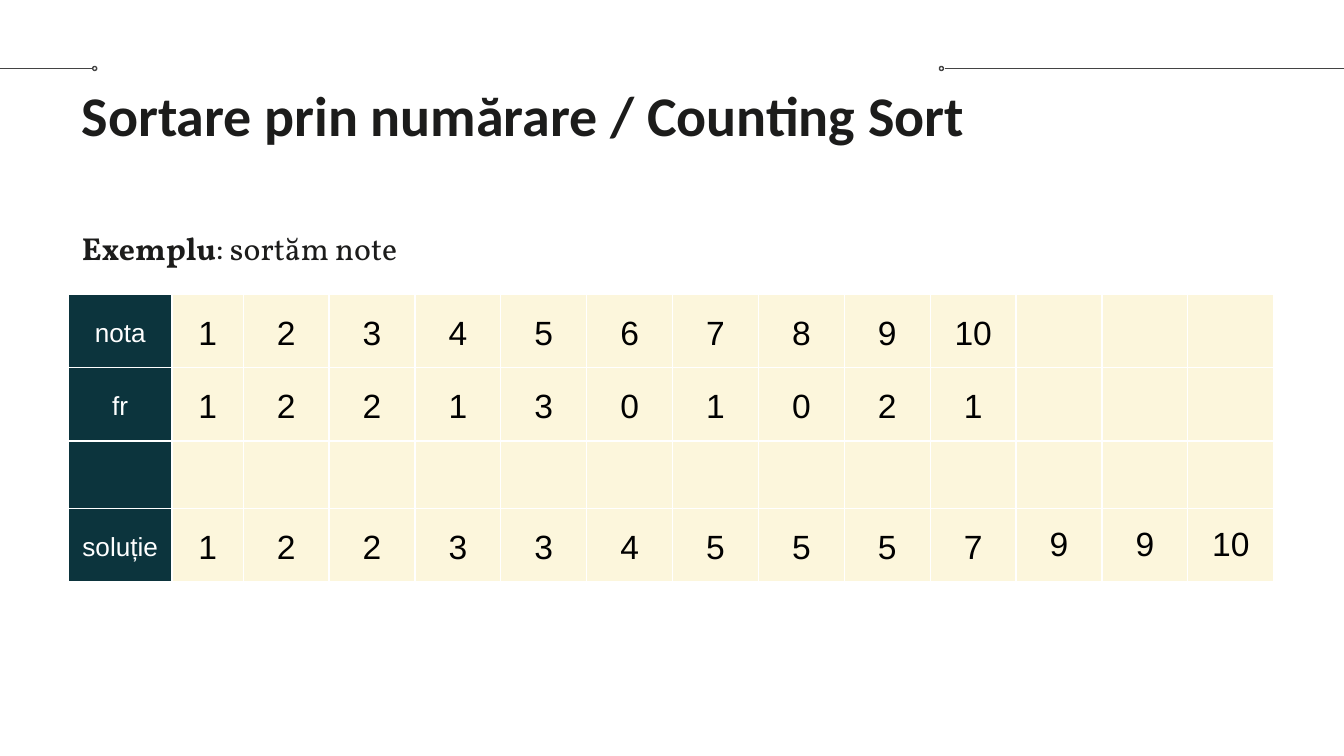
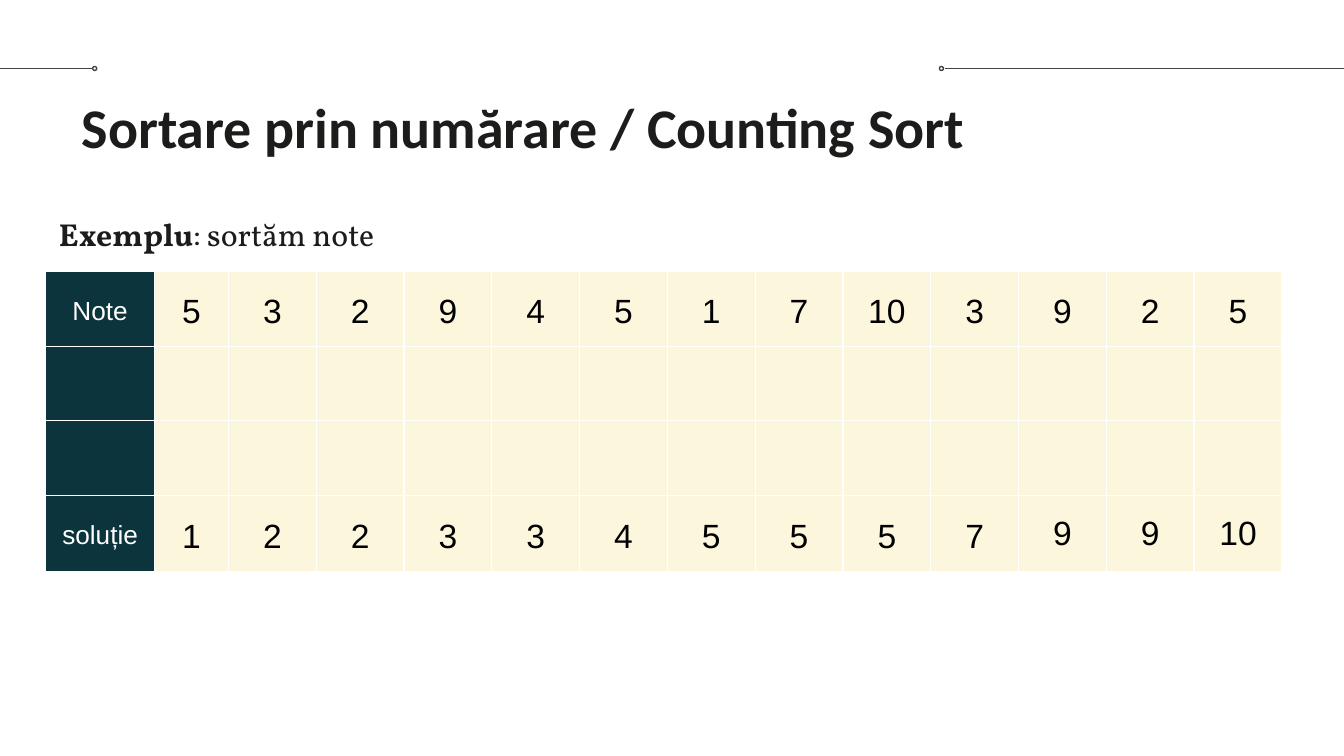
from dataclasses import dataclass

from lxml.etree import SubElement as Sub
from pptx import Presentation
from pptx.dml.color import RGBColor as Rgb
from pptx.enum.shapes import MSO_CONNECTOR as Conn, MSO_SHAPE as Shape
from pptx.enum.text import MSO_ANCHOR as Anchor, PP_ALIGN as Align
from pptx.oxml.ns import qn
from pptx.util import Inches, Pt


@dataclass(frozen=True)
class Theme:
    ink: str = "1C1C1B"
    rule: str = "434343"
    head: str = "0C343D"
    cell: str = "FCF6DC"
    white: str = "FFFFFF"
    black: str = "000000"
    title_font: str = "Calibri"
    body_font: str = "Vollkorn"
    grid_font: str = "Arial"
    title_size: float = 30
    body_size: float = 17
    label_size: float = 14
    value_size: float = 18
    line: float = 0.75
    inset: float = 0.1
    spacing: float = 1.15


T = Theme()
TITLE = "Sortare prin numărare / Counting Sort"
LEAD = ("Exemplu", ": sortăm note")
SORTED = ["soluție", 1, 2, 2, 3, 3, 4, 5, 5, 5, 7, 9, 9, 10]


def style(run, font, size, color, bold=False):
    run.font.name = font
    run.font.size = Pt(size)
    run.font.bold = bold
    run.font.color.rgb = Rgb.from_string(color)


def pad(part):
    part.margin_left = part.margin_right = Inches(T.inset)
    part.margin_top = part.margin_bottom = Inches(T.inset)


def stroke(line):
    line.color.rgb = Rgb.from_string(T.rule)
    line.width = Pt(T.line)


def add_rule(slide, start, end, knob, top=0.51, size=0.03):
    line = slide.shapes.add_connector(
        Conn.STRAIGHT, Inches(start), Inches(top), Inches(end), Inches(top))
    stroke(line.line)
    Sub(line._element.spPr, qn("a:effectLst"))
    dot = slide.shapes.add_shape(
        Shape.OVAL, Inches(knob), Inches(top - size / 2), Inches(size), Inches(size))
    dot.shadow.inherit = False
    dot.fill.background()
    stroke(dot.line)


def add_text(slide, box):
    frame = slide.shapes.add_textbox(*map(Inches, box)).text_frame
    frame.word_wrap = True
    frame.vertical_anchor = Anchor.TOP
    pad(frame)
    return frame


def add_title(slide, box):
    frame = add_text(slide, box)
    frame.text = TITLE
    style(frame.paragraphs[0].runs[0], T.title_font, T.title_size, T.ink, True)


def add_lead(slide, box):
    para = add_text(slide, box).paragraphs[0]
    para.line_spacing = T.spacing
    para.space_after = Pt(12)
    for part, bold in zip(LEAD, (True, False)):
        run = para.add_run()
        run.text = part
        style(run, T.body_font, T.body_size, T.ink, bold)


def add_edges(cell):
    props = cell._tc.get_or_add_tcPr()
    for side in ("lnL", "lnR", "lnT", "lnB"):
        edge = Sub(props, qn(f"a:{side}"), w=str(Pt(T.line)))
        Sub(Sub(edge, qn("a:solidFill")), qn("a:srgbClr"), val=T.white)


def fill_cell(cell, value, label, spacing):
    pad(cell)
    cell.vertical_anchor = Anchor.MIDDLE
    add_edges(cell)
    cell.fill.solid()
    cell.fill.fore_color.rgb = Rgb.from_string(T.head if label else T.cell)
    if value == "":
        return
    cell.text = str(value)
    para = cell.text_frame.paragraphs[0]
    para.alignment = Align.CENTER
    para.line_spacing = spacing
    size, color = (T.label_size, T.white) if label else (T.value_size, T.black)
    style(para.runs[0], T.grid_font, size, color)


def add_grid(slide, left, top, total, first, high, rows):
    count = len(SORTED) - len(first)
    widths = first + [(total - sum(first)) / count] * count
    box = map(Inches, (left, top, total, sum(high)))
    table = slide.shapes.add_table(len(rows), len(widths), *box).table
    table.first_row = table.horz_banding = False
    for col, width in zip(table.columns, widths):
        col.width = Inches(width)
    for r, (height, row) in enumerate(zip(high, rows)):
        table.rows[r].height = Inches(height)
        for c in range(len(widths)):
            value = row[c] if c < len(row) else ""
            tight = row is SORTED and c > 10
            fill_cell(table.cell(r, c), value, c == 0, 1.0 if tight else T.spacing)


def add_page(deck, left, title_top, lead_top, grid_top, total, first, high, rows):
    slide = deck.slides.add_slide(deck.slide_layouts[6])
    add_rule(slide, 0, 0.69, 0.69)
    add_rule(slide, 7.03, 10, 6.99)
    add_title(slide, (0.51, title_top, 9.32, 0.77))
    add_lead(slide, (left, lead_top, 9.32, 3.94))
    add_grid(slide, left, grid_top, total, first, high, rows)


def main():
    deck = Presentation()
    deck.slide_width = Inches(10)
    deck.slide_height = deck.slide_width * 9 // 16
    counts = [
        ["nota", *range(1, 11)],
        ["fr", 1, 2, 2, 1, 3, 0, 1, 0, 2, 1],
        [],
        SORTED,
    ]
    grades = [["Note", 5, 3, 2, 9, 4, 5, 1, 7, 10, 3, 9, 2, 5], [], [], SORTED]
    add_page(deck, 0.51, 0.5, 1.56, 2.19, 8.97, [0.77, 0.53], [0.42] * 4, counts)
    add_page(deck, 0.34, 0.59, 1.46, 2.02, 9.2, [0.81, 0.55],
             [0.56, 0.55, 0.56, 0.56], grades)
    deck.save("out.pptx")


if __name__ == "__main__":
    main()
